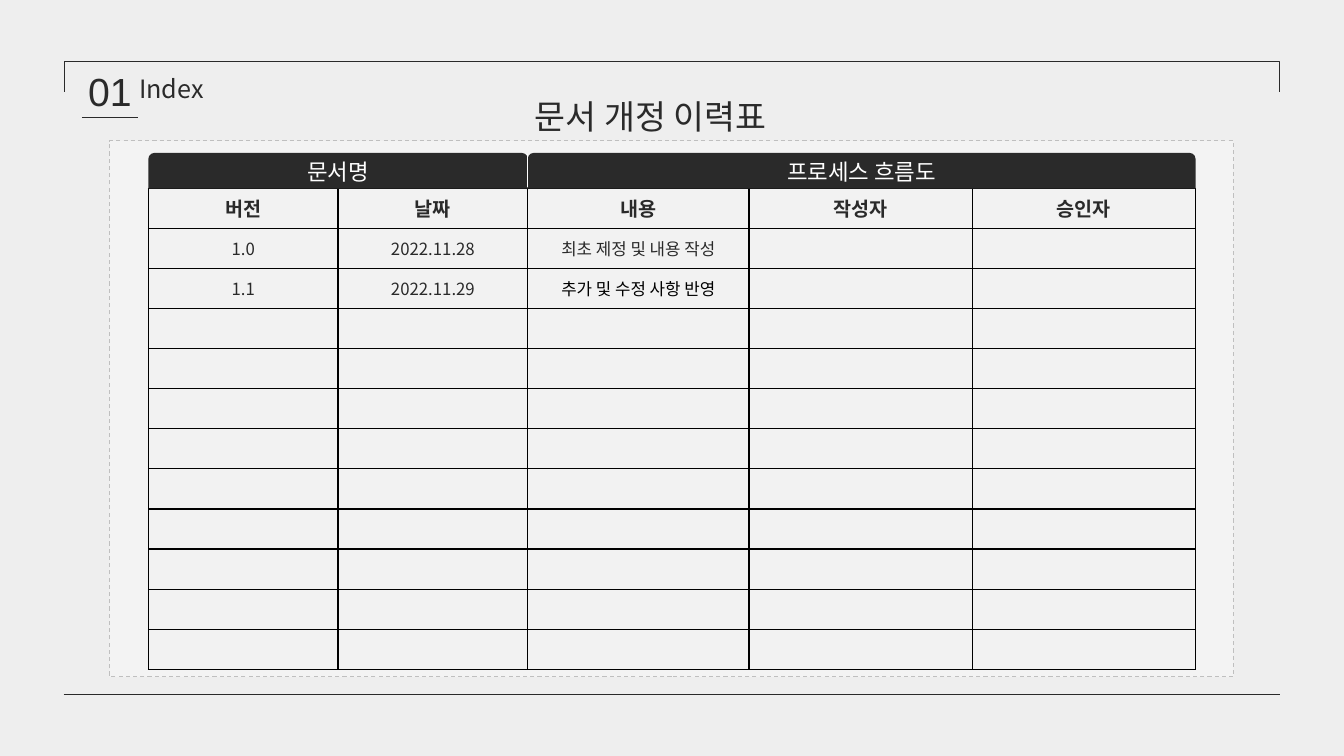
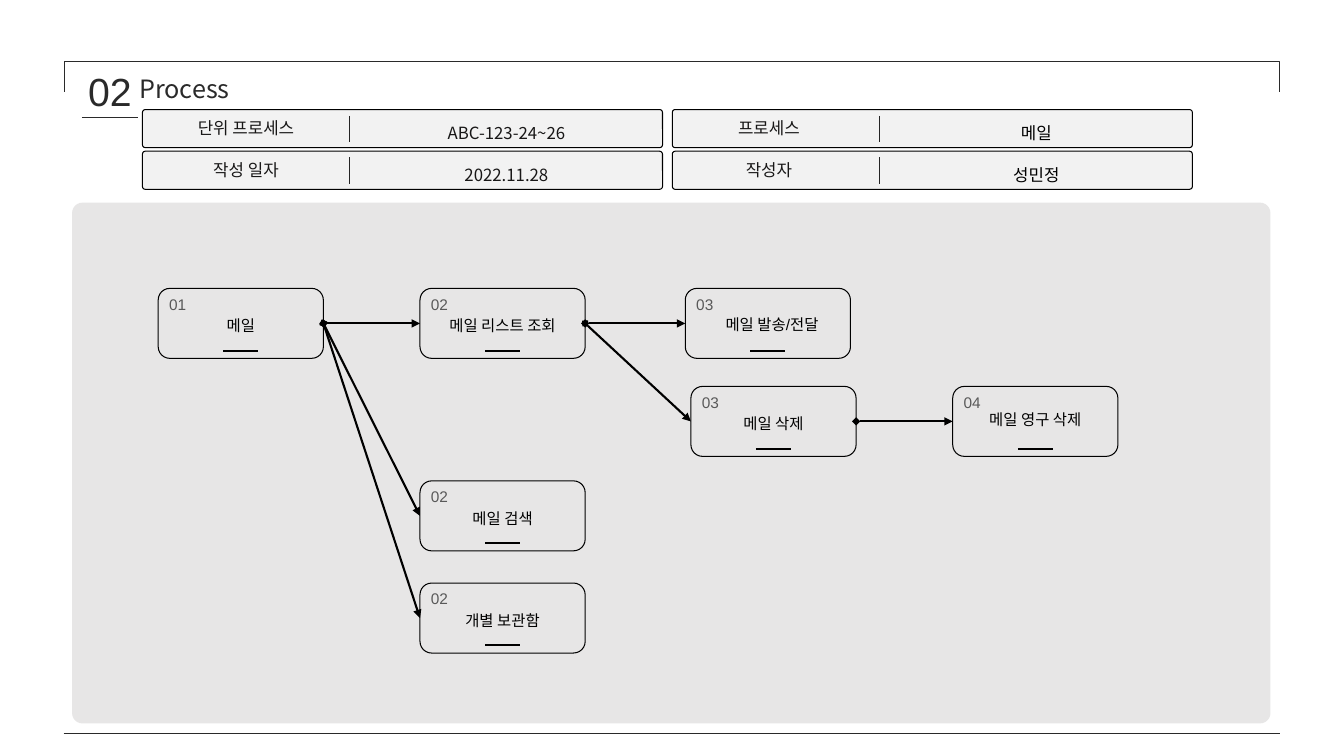
"""Build a document revision table slide and a mail process flow slide."""
from lxml.etree import SubElement
from pptx import Presentation
from pptx.dml.color import RGBColor
from pptx.enum.dml import MSO_LINE
from pptx.enum.shapes import MSO_CONNECTOR, MSO_SHAPE as SHAPE
from pptx.enum.text import MSO_ANCHOR as ANCHOR, PP_ALIGN as ALIGN
from pptx.oxml.ns import qn
from pptx.util import Pt

INK = RGBColor(0x2A, 0x2A, 0x2A)
TEXT = RGBColor(0x18, 0x17, 0x17)
DIVIDER = RGBColor(0x24, 0x24, 0x24)
NUMBER = RGBColor(0x59, 0x59, 0x59)
BLACK = RGBColor(0, 0, 0)
WHITE = RGBColor(0xFF, 0xFF, 0xFF)
PAPER = RGBColor(0xEE, 0xEE, 0xEE)
CELL = RGBColor(0xF2, 0xF2, 0xF2)
PANEL = RGBColor(0xE7, 0xE6, 0xE6)
DASH = RGBColor(0xBF, 0xBF, 0xBF)
KOREAN, LATIN = "Noto Sans CJK KR", "Arial"

COLUMNS = [135.5, 135.5, 158, 159.5, 159.5]
ROW_COUNT, ROW_HEIGHT = 12, 28.65
HISTORY = [
    ("버전", "날짜", "내용", "작성자", "승인자"),
    ("1.0", "2022.11.28", "최초 제정 및 내용 작성"),
    ("1.1", "2022.11.29", "추가 및 수정 사항 반영"),
]
INFO = [
    [("단위 프로세스", "ABC-123-24~26"), ("작성 일자", "2022.11.28")],
    [("프로세스", "메일"), ("작성자", "성민정")],
]
INFO_COLUMNS = [(101.75, 14, TEXT), (480.25, 9, BLACK)]
NODE_W, NODE_H = 118, 50
NODES = {
    "mail": (113, 206, "01", "메일", 16.5, 118),
    "list": (300, 206, "02", "메일 리스트 조회", 16.5, 118),
    "send": (489.5, 206, "03", "메일 발송/전달", 15.5, 124),
    "delete": (493.5, 276, "03", "메일 삭제", 16.5, 118),
    "purge": (680.5, 276, "04", "메일 영구 삭제", 13.5, 118),
    "search": (300, 343.5, "02", "메일 검색", 16.5, 118),
    "archive": (300, 416.5, "02", "개별 보관함", 16.5, 118),
}
FLOWS = [("mail", "list"), ("mail", "search"), ("mail", "archive"),
         ("list", "send"), ("list", "delete"), ("delete", "purge")]


def write(tf, text, size, color, font=KOREAN, align=ALIGN.LEFT, bold=False, spacing=None):
    p = tf.paragraphs[0]
    p.text, p.alignment = text, align
    p.font.size, p.font.name, p.font.bold = Pt(size), font, bold
    p.font.color.rgb = color
    if spacing:
        p.line_spacing = spacing
    SubElement(p._p.pPr.find(qn("a:defRPr")), qn("a:ea"), typeface=KOREAN)


def add_text(s, x, y, w, h, text, size, color, insets=(7.2, 3.6), **style):
    tf = s.shapes.add_textbox(Pt(x), Pt(y), Pt(w), Pt(h)).text_frame
    tf.word_wrap = True
    tf.margin_left = tf.margin_right = Pt(insets[0])
    tf.margin_top = tf.margin_bottom = Pt(insets[1])
    write(tf, text, size, color, **style)


def add_box(s, kind, x, y, w, h, fill=None, line=None, adj=None):
    sp = s.shapes.add_shape(kind, Pt(x), Pt(y), Pt(w), Pt(h))
    sp.shadow.inherit = False
    if fill is None:
        sp.fill.background()
    else:
        sp.fill.solid()
        sp.fill.fore_color.rgb = fill
    if line is None:
        sp.line.fill.background()
    else:
        sp.line.color.rgb, sp.line.width = line, Pt(0.75)
    if adj is not None:
        sp.adjustments[0] = adj
    return sp


def add_line(s, x1, y1, x2, y2, color=INK, width=0.75):
    cn = s.shapes.add_connector(MSO_CONNECTOR.STRAIGHT, Pt(x1), Pt(y1), Pt(x2), Pt(y2))
    cn.line.color.rgb, cn.line.width = color, Pt(width)
    SubElement(cn._element.spPr, qn("a:effectLst"))
    return cn


def add_arrow(s, start, end):
    cn = add_line(s, 0, 0, 0, 0, BLACK, 1.5)
    cn.begin_connect(start, 3)
    cn.end_connect(end, 1)
    ln = cn._element.spPr.find(qn("a:ln"))
    SubElement(ln, qn("a:headEnd"), type="diamond")
    SubElement(ln, qn("a:tailEnd"), type="triangle")


def add_frame(s, number, name, background, bottom):
    s.background.fill.solid()
    s.background.fill.fore_color.rgb = background
    bracket = add_box(s, SHAPE.RIGHT_BRACKET, 469.2, -379.5, 21.6, 868.5, line=INK, adj=0)
    bracket.rotation = 270
    add_line(s, 45.5, bottom, 914.5, bottom)
    add_text(s, 96.5, 51, 91, 24.5, name, 18, INK, insets=(3, 1.5))
    add_text(s, 63, 48, 35.5, 34, number, 28, INK, insets=(0, 0), font=LATIN)
    add_line(s, 58.5, 84, 98.5, 84)


def style_cell(cell, text, color, header):
    cell.margin_left = cell.margin_right = cell.margin_top = cell.margin_bottom = 0
    cell.vertical_anchor = ANCHOR.MIDDLE
    tcPr = cell._tc.get_or_add_tcPr()
    for side in ("lnL", "lnR", "lnT", "lnB"):
        ln = SubElement(tcPr, qn("a:" + side), w=str(Pt(1)))
        SubElement(SubElement(ln, qn("a:solidFill")), qn("a:srgbClr"), val=str(BLACK))
    cell.fill.solid()
    cell.fill.fore_color.rgb = CELL
    if text:
        write(cell.text_frame, text, 14 if header else 12, color,
              align=ALIGN.CENTER, bold=header)


def add_history(s, x, y):
    table = s.shapes.add_table(ROW_COUNT, len(COLUMNS), Pt(x), Pt(y), Pt(sum(COLUMNS)),
                               Pt(ROW_COUNT * ROW_HEIGHT)).table
    table.first_row = table.horz_banding = False
    for column, width in zip(table.columns, COLUMNS):
        column.width = Pt(width)
    for i, row in enumerate(table.rows):
        row.height = Pt(ROW_HEIGHT)
        texts = HISTORY[i] if i < len(HISTORY) else ()
        for j, cell in enumerate(row.cells):
            color = BLACK if (i, j) == (2, 2) else INK
            style_cell(cell, texts[j] if j < len(texts) else "", color, i == 0)


def add_table_head(s, x, y, w, text):
    sp = add_box(s, SHAPE.ROUND_2_SAME_RECTANGLE, x, y, w, 25.5, fill=INK)
    sp.text_frame.vertical_anchor = ANCHOR.MIDDLE
    write(sp.text_frame, text, 16, WHITE, align=ALIGN.CENTER)


def add_info(s, x, y, label, value, label_dx, color):
    add_box(s, SHAPE.ROUNDED_RECTANGLE, x, y, 371.5, 27.25, CELL, BLACK, 0.075)
    add_text(s, x + label_dx, y + 0.5, 120, 24, label, 12, TEXT,
             align=ALIGN.CENTER, spacing=1.14)
    add_line(s, x + 148.25, y + 4.5, x + 148.25, y + 23.25, DIVIDER)
    add_text(s, x + 158, y + 1.75, 204, 26, value, 12, color,
             align=ALIGN.CENTER, spacing=1.3)


def add_node(s, x, y, number, label, label_dy, label_w):
    sp = add_box(s, SHAPE.ROUNDED_RECTANGLE, x, y, NODE_W, NODE_H, line=BLACK)
    add_text(s, x + 0.75, y + 1, 44, 21, number, 11, NUMBER, font=LATIN)
    add_line(s, x + 46.5, y + 44.5, x + 71.5, y + 44.5, BLACK, 1.5)
    add_text(s, x, y + label_dy, label_w, 21, label, 11, BLACK,
             font=LATIN, align=ALIGN.CENTER)
    return sp


def build_index(s):
    add_frame(s, "01", "Index", PAPER, 496)
    add_text(s, 378, 67, 204.5, 32, "문서 개정 이력표", 24, INK, insets=(4, 1.5))
    panel = add_box(s, SHAPE.RECTANGLE, 78.25, 100.5, 803, 383, WHITE, DASH)
    panel.line.dash_style = MSO_LINE.DASH
    white = panel._element.spPr.find(qn("a:solidFill"))[0]
    SubElement(white, qn("a:alpha"), val="30000")
    x, y = 106, 134.5
    left_w = sum(COLUMNS[:2])
    add_history(s, x, y)
    add_table_head(s, x, y - 25.25, left_w, "문서명")
    add_table_head(s, x + left_w, y - 25.25, sum(COLUMNS[2:]), "프로세스 흐름도")
    add_line(s, x + left_w, y - 24.5, x + left_w, y - 0.75, WHITE)


def build_process(s):
    add_box(s, SHAPE.ROUNDED_RECTANGLE, 51.5, 144.75, 856, 372, PANEL, adj=0.02)
    add_frame(s, "02", "Process", WHITE, 523.75)
    for (x, label_dx, color), entries in zip(INFO_COLUMNS, INFO):
        for i, (label, value) in enumerate(entries):
            add_info(s, x, 78.25 + i * 29.75, label, value, label_dx, color)
    nodes = {key: add_node(s, *node) for key, node in NODES.items()}
    for start, end in FLOWS:
        add_arrow(s, nodes[start], nodes[end])


def main():
    prs = Presentation()
    prs.slide_width, prs.slide_height = Pt(960), Pt(540)
    for build in (build_index, build_process):
        build(prs.slides.add_slide(prs.slide_layouts[6]))
    prs.save("out.pptx")


if __name__ == "__main__":
    main()
